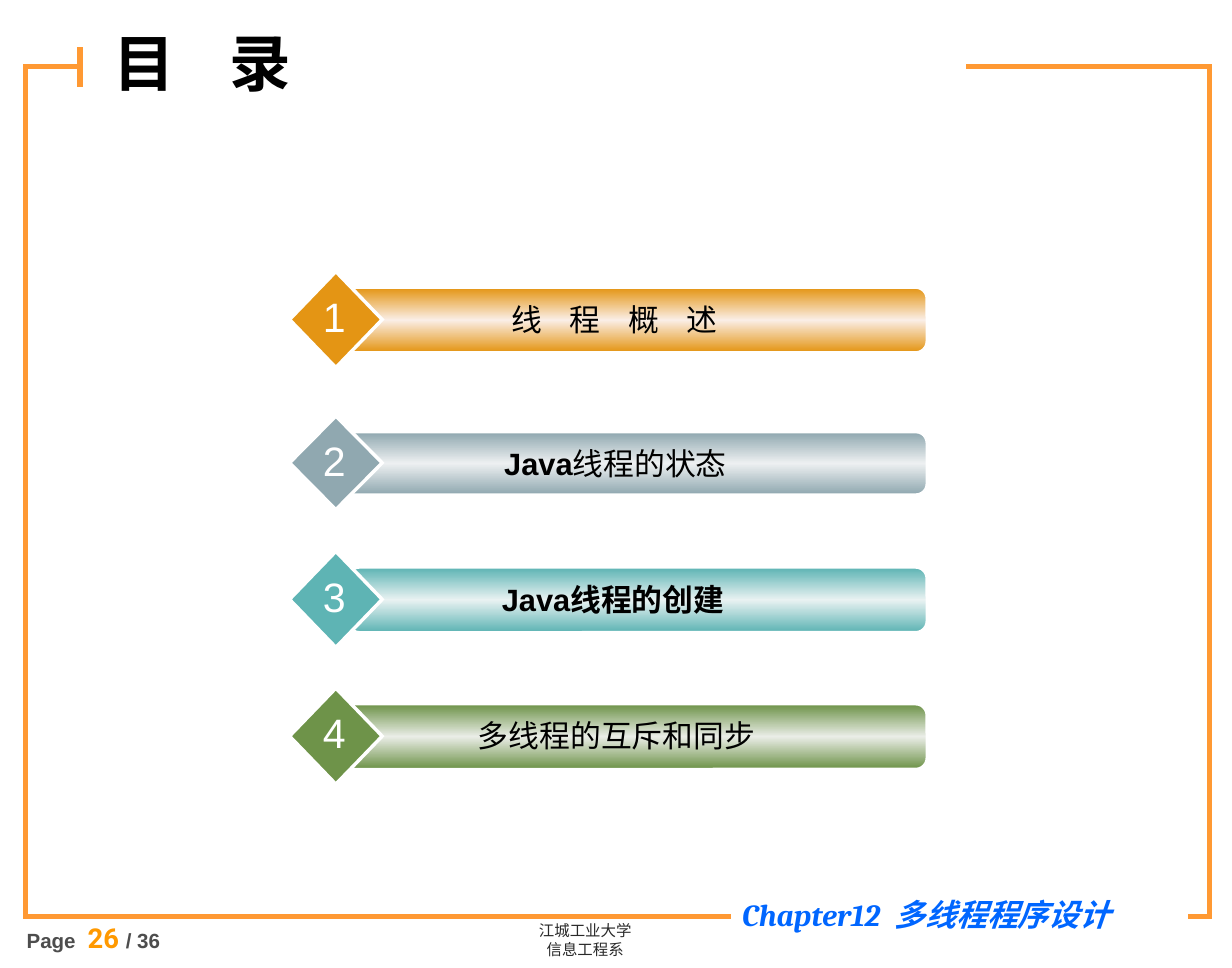
from copy import deepcopy
from lxml.etree import SubElement
from pptx import Presentation
from pptx.dml.color import RGBColor
from pptx.enum.shapes import MSO_CONNECTOR as Connector, MSO_SHAPE as Shape
from pptx.enum.text import MSO_ANCHOR as Anchor, PP_ALIGN as Align
from pptx.oxml.ns import qn
from pptx.util import Cm, Pt

rgb = RGBColor.from_string
CJK = "Noto Sans CJK SC"
ORANGE, WHITE, BLACK = "FF9933", "FFFFFF", "000000"


def write(para, text, size=18, color=BLACK, font="Arial", bold=False, italic=False,
          spacing=0, align=Align.LEFT):
    para.alignment = align
    span = para.add_run()
    span.text = text
    span.font.size = Pt(size)
    span.font.name = font
    span.font.bold = bold
    span.font.italic = italic
    span.font.color.rgb = rgb(color)
    SubElement(span.font._element, qn("a:ea")).set("typeface", CJK)
    if spacing:
        span.font._element.set("spc", str(round(spacing * 100)))


def add_shape(kind, left, top, width, height, fill, line, line_width):
    shape = page.shapes.add_shape(kind, Cm(left), Cm(top), Cm(width), Cm(height))
    shape.shadow.inherit = False
    if fill:
        shape.fill.solid()
        shape.fill.fore_color.rgb = rgb(fill)
    else:
        shape.fill.background()
    shape.line.color.rgb = rgb(line)
    shape.line.width = Pt(line_width)
    SubElement(shape._element.spPr.find(qn("a:ln")), qn("a:miter")).set("lim", "800000")
    return shape


deck = Presentation()
deck.slide_width, deck.slide_height = Cm(25.4), Cm(19.96)
page = deck.slides.add_slide(deck.slide_layouts[5])

add_shape(Shape.RECTANGLE, 0.53, 1.37, 24.41, 17.53, None, ORANGE, 3)
add_shape(Shape.RECTANGLE, 1.7, 1.04, 18.21, 0.64, WHITE, WHITE, 0.75)
add_shape(Shape.RECTANGLE, 15.09, 17.98, 9.4, 1.6, WHITE, WHITE, 0.75)

tick = page.shapes.add_connector(Connector.STRAIGHT, Cm(1.65), Cm(0.97), Cm(1.65), Cm(1.8))
tick.line.color.rgb = rgb(ORANGE)
tick.line.width = Pt(3)
SubElement(tick._element.spPr, qn("a:effectLst"))

title = page.shapes.title
title._element.getparent().append(title._element)
title.left, title.top, title.width, title.height = Cm(2.08), Cm(0.38), Cm(11.4), Cm(1.8)
title.text_frame.vertical_anchor = Anchor.MIDDLE
write(title.text_frame.paragraphs[0], "目 录", size=36, bold=True, spacing=12)

school = page.shapes.add_textbox(Cm(8.46), Cm(18.87), Cm(7.21), Cm(1.02)).text_frame
school.word_wrap = True
for para, text in ((school.paragraphs[0], "江城工业大学"), (school.add_paragraph(), "信息工程系")):
    write(para, text, size=9, color="292929", font=CJK, align=Align.CENTER)

counter = page.shapes.add_textbox(Cm(0.3), Cm(18.87), Cm(3.61), Cm(0.94)).text_frame
counter.word_wrap = True
para = counter.paragraphs[0]
write(para, "Page", size=12, color="4D4D4D", bold=True)
write(para, " ", size=16, color="FF9900", font="Roboto", spacing=3)
write(para, "26 ", size=16, color="FF9900", font="Roboto", bold=True)
write(para, "/ 36", size=12, color="4D4D4D", bold=True)

chapter = page.shapes.add_textbox(Cm(15.05), Cm(18.34), Cm(9.4), Cm(0.94)).text_frame
chapter.word_wrap = True
for text, spacing in (("Chapter12", 0), (" ", 4.5), ("多线程程序设计", 0)):
    write(chapter.paragraphs[0], text, color="0066FF", font="Cambria", bold=True,
          italic=True, spacing=spacing)

topics = [
    (5.94, 1.32, 7.04, "E49514", "FAEEE6", 12.67, [("线 程 概 述", False)], 6),
    (8.92, 1.27, 7.04, "90A8B0", "EDF0F1", 12.69, [("Java", True), ("线程的状态", False)], 0),
    (11.71, 1.32, 7.19, "5EB4B4", "E9F2F2", 12.64, [("Java线程的创建", True)], 0),
    (14.53, 1.32, 7.04, "6E9349", "EAEDE7", 12.71, [("多线程的互斥和同步", False)], 0),
]
for number, (top, height, left, color, glow, center, spans, spacing) in enumerate(topics, 1):
    bar = add_shape(Shape.ROUNDED_RECTANGLE, left, top, 19.1 - left, height, color, WHITE, 1)
    bar.fill.gradient()
    bar.fill.gradient_angle = 90
    stops = bar._element.spPr.find(".//" + qn("a:gsLst"))
    stops.insert(1, deepcopy(stops[0]))
    for stop, shade, position in zip(bar.fill.gradient_stops, (color, glow, color), (0, 0.5, 1)):
        stop.color.rgb = rgb(shade)
        stop.position = position

    add_shape(Shape.DIAMOND, 5.97, top - 0.34, 1.91, height + 0.66, color, WHITE, 2)

    label = page.shapes.add_textbox(Cm(center - 4.95), Cm(top + 0.13), Cm(9.9), Cm(1.02)).text_frame
    label.word_wrap = True
    for text, bold in spans:
        write(label.paragraphs[0], text, bold=bold, spacing=spacing, align=Align.CENTER)

    badge = page.shapes.add_textbox(Cm(6.4), Cm(top - 0.06), Cm(0.99), Cm(1.27)).text_frame
    badge.word_wrap = False
    write(badge.paragraphs[0], str(number), size=24, color=WHITE, align=Align.CENTER)

deck.save("out.pptx")
